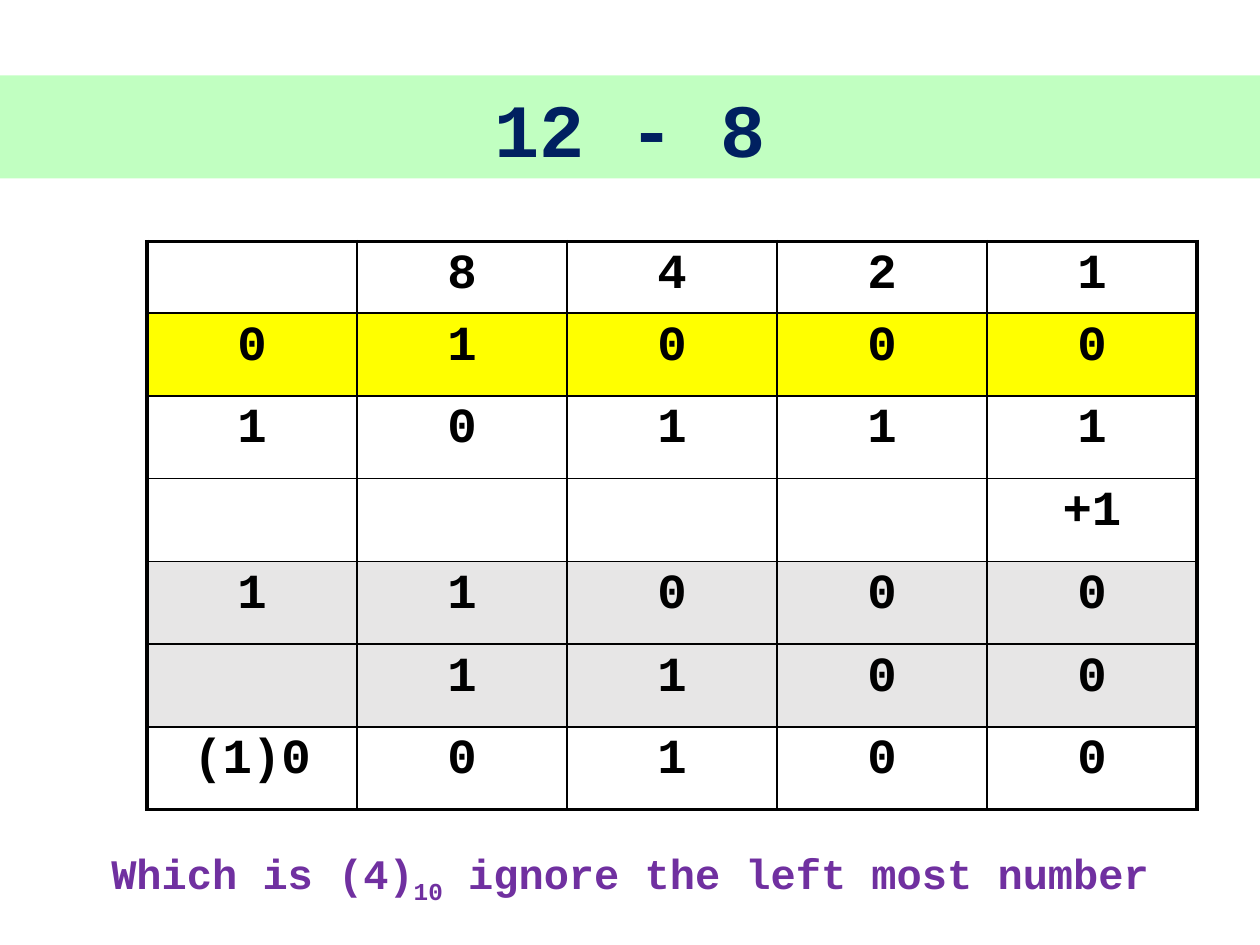
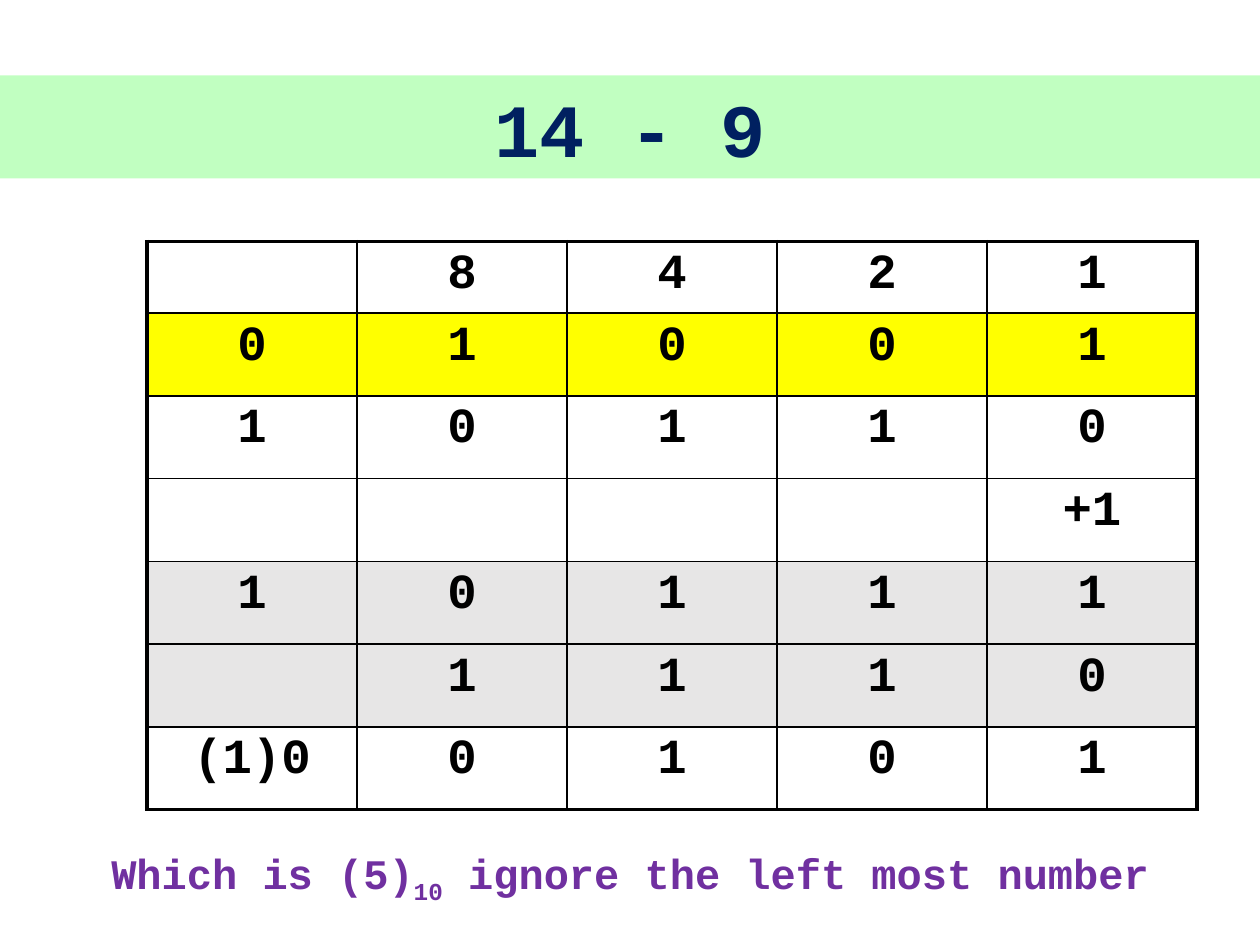
"""Build two slides that subtract with two's complement."""
from lxml.etree import SubElement
from pptx import Presentation
from pptx.dml.color import RGBColor
from pptx.enum.shapes import MSO_SHAPE
from pptx.enum.text import MSO_ANCHOR, PP_ALIGN
from pptx.oxml.ns import qn
from pptx.util import Pt

COLORS = {
    "band": "66FF66",
    "title": "002060",
    "caption": "7030A0",
    "ink": "000000",
    "paper": "FFFFFF",
    "subtrahend": "FFFF00",
    "operands": "E7E6E6",
}
FORMATS = {
    "title": {"name": "Courier New", "size": Pt(43), "bold": True},
    "caption": {"name": "Courier New", "size": Pt(24), "bold": True},
    "ink": {"name": "Courier New", "size": Pt(28), "bold": True},
}
PAGE_WIDTH, PAGE_HEIGHT = 720, 540
COLUMN_WIDTH, HEADER_HEIGHT, ROW_HEIGHT = 120, 41, 47.3
THIN, THICK = 1, 2.25
ROW_FILLS = ["paper", "subtrahend", None, None, "operands", "operands", "paper"]
PLACE_VALUES = ["", "8", "4", "2", "1"]
ADD_ONE = ["", "", "", "", "+1"]
EXERCISES = [
    {"title": "12 - 8", "answer": 4, "subtrahend": "01000", "inverse": "10111",
     "complement": "11000", "minuend": "1100", "result": "0100"},
    {"title": "14 - 9", "answer": 5, "subtrahend": "01001", "inverse": "10110",
     "complement": "10111", "minuend": "1110", "result": "0101"},
]


def rgb(name):
    """Return the named colour."""
    return RGBColor.from_string(COLORS[name])


def add_span(para, text, role):
    """Add centred text in the style of its role."""
    para.alignment = PP_ALIGN.CENTER
    span = para.add_run()
    span.text = text
    for attribute, value in FORMATS[role].items():
        setattr(span.font, attribute, value)
    span.font.color.rgb = rgb(role)
    return span


def add_title_band(page, text):
    """Add the translucent band that carries the title."""
    band = page.shapes.add_shape(MSO_SHAPE.RECTANGLE, 0, Pt(43), Pt(PAGE_WIDTH), Pt(59))
    band.shadow.inherit = False
    band.line.fill.background()
    band.fill.solid()
    band.fill.fore_color.rgb = rgb("band")
    color = next(band.fill._xPr.iter(qn("a:srgbClr")))
    SubElement(color, qn("a:alpha"), val="40000")
    band.text_frame.vertical_anchor = MSO_ANCHOR.MIDDLE
    add_span(band.text_frame.paragraphs[0], text, "title")


def add_caption(page, answer):
    """Add the closing remark with the decimal answer."""
    box = page.shapes.add_textbox(0, Pt(481), Pt(PAGE_WIDTH), Pt(29.5))
    box.text_frame.word_wrap = True
    para = box.text_frame.paragraphs[0]
    add_span(para, f"Which is ({answer})", "caption")
    base = add_span(para, "10", "caption")
    base.font._element.set("baseline", "-25000")
    add_span(para, " ignore the left most number", "caption")


def set_borders(cell, widths):
    """Draw the cell borders, given as widths by side."""
    properties = cell._tc.get_or_add_tcPr()
    for side, width in widths.items():
        line = SubElement(properties, qn(f"a:ln{side}"), w=str(Pt(width)))
        SubElement(SubElement(line, qn("a:solidFill")), qn("a:srgbClr"), val=COLORS["ink"])


def fill_cell(cell, color):
    """Fill the cell, or leave it clear when there is no colour."""
    if color is None:
        cell.fill.background()
    else:
        cell.fill.solid()
        cell.fill.fore_color.rgb = rgb(color)


def add_bit_table(page, rows):
    """Add the working as a grid of bits with a thick outer frame."""
    last_row, last_column = len(rows) - 1, len(PLACE_VALUES) - 1
    frame = page.shapes.add_table(
        len(rows), len(PLACE_VALUES), Pt(84), Pt(138),
        Pt(COLUMN_WIDTH * len(PLACE_VALUES)), Pt(HEADER_HEIGHT + ROW_HEIGHT * last_row))
    table = frame.table
    for flag in ("first_row", "horz_banding"):
        setattr(table, flag, False)
    for row_index, row in enumerate(rows):
        table.rows[row_index].height = Pt(ROW_HEIGHT if row_index else HEADER_HEIGHT)
        for column_index, text in enumerate(row):
            cell = table.cell(row_index, column_index)
            set_borders(cell, {
                "L": THIN if column_index else THICK,
                "R": THICK if column_index == last_column else THIN,
                "T": THIN if row_index else THICK,
                "B": THICK if row_index == last_row else THIN,
            })
            fill_cell(cell, ROW_FILLS[row_index])
            if text:
                add_span(cell.text_frame.paragraphs[0], text, "ink")


def add_exercise(deck, exercise):
    """Add one page that works through a subtraction."""
    page = deck.slides.add_slide(deck.slide_layouts[6])
    add_bit_table(page, [
        PLACE_VALUES,
        exercise["subtrahend"],
        exercise["inverse"],
        ADD_ONE,
        exercise["complement"],
        ["", *exercise["minuend"]],
        ["(1)0", *exercise["result"]],
    ])
    add_title_band(page, exercise["title"])
    add_caption(page, exercise["answer"])


def main():
    """Build and save the deck."""
    deck = Presentation()
    deck.slide_width, deck.slide_height = Pt(PAGE_WIDTH), Pt(PAGE_HEIGHT)
    for exercise in EXERCISES:
        add_exercise(deck, exercise)
    deck.save("out.pptx")


if __name__ == "__main__":
    main()
